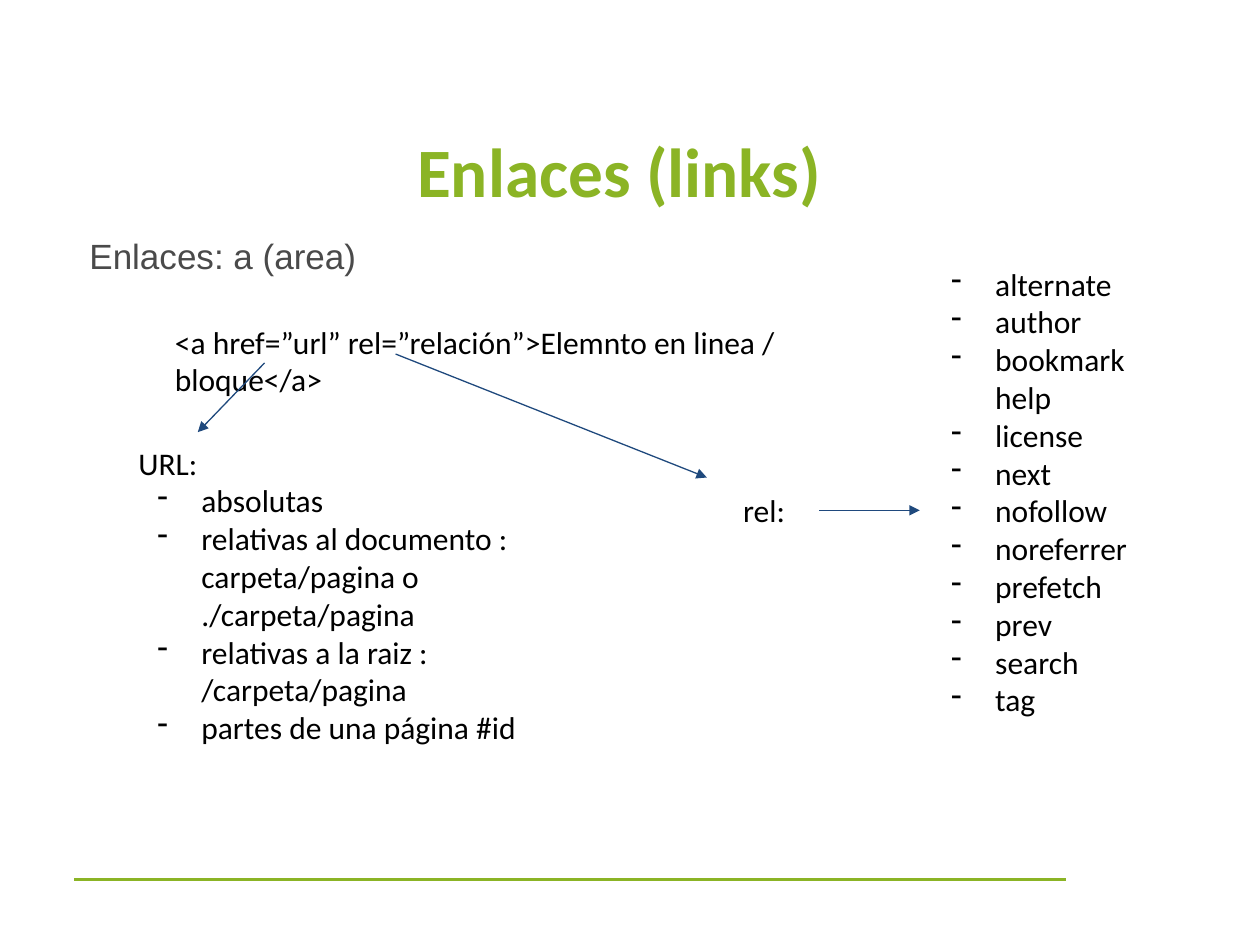
from lxml.etree import SubElement
from pptx import Presentation
from pptx.dml.color import RGBColor as RGB
from pptx.enum.shapes import MSO_CONNECTOR as Wire
from pptx.enum.text import MSO_ANCHOR as Anchor, PP_ALIGN as Align
from pptx.oxml.ns import qn
from pptx.util import Inches, Pt

COLORS = {"green": "8BB425", "gray": "4A4A4A", "black": "000000", "blue": "1F497D"}

URLS = [
    "absolutas",
    "relativas al documento : carpeta/pagina o ./carpeta/pagina",
    "relativas a la raiz : /carpeta/pagina",
    "partes de una página #id",
]
RELS = ["alternate", "author", "bookmark\vhelp", "license", "next", "nofollow",
        "noreferrer", "prefetch", "prev", "search", "tag"]


def add_text(slide, box, lines, size=18, font="Calibri", color="black",
             bold=False, pad=0.1, anchor=Anchor.TOP):
    """Place a wrapped text box holding one paragraph per line."""
    shape = slide.shapes.add_textbox(*map(Inches, box))
    frame = shape.text_frame
    frame.word_wrap = True
    frame.vertical_anchor = anchor
    frame.margin_left = frame.margin_right = Inches(pad)
    frame.margin_top = frame.margin_bottom = Inches(pad)
    frame.text = "\n".join(lines)
    for para in frame.paragraphs:
        for run in para.runs:
            run.font.size = Pt(size)
            run.font.name = font
            run.font.bold = bold
            run.font.color.rgb = RGB.from_string(COLORS[color])
    return shape


def add_dashes(paras):
    """Give each paragraph a hanging dash."""
    for para in paras:
        props = para._p.get_or_add_pPr()
        props.set("marL", str(Inches(0.5)))
        props.set("indent", str(Inches(-0.35)))
        SubElement(props, qn("a:buChar")).set("char", "-")


def add_line(slide, start, end, color, width, arrow=False):
    line = slide.shapes.add_connector(Wire.STRAIGHT, *map(Inches, start + end))
    line.line.color.rgb = RGB.from_string(COLORS[color])
    line.line.width = Pt(width)
    if arrow:
        SubElement(line.line._get_or_add_ln(), qn("a:tailEnd")).set("type", "triangle")
    SubElement(line._element.spPr, qn("a:effectLst"))
    return line


def add_header(slide, left, top, width):
    title = add_text(slide, (left, top, width, 0.59), ["Enlaces (links)"],
                     39.6, color="green", bold=True, pad=0, anchor=Anchor.MIDDLE)
    title.text_frame.paragraphs[0].alignment = Align.CENTER
    add_text(slide, (left + 0.02, top + 0.75, width, 0.59),
             ["Enlaces: a (area)"], 20, "Arial", "gray", pad=0.06)


def add_urls(slide, box):
    shape = add_text(slide, box, ["URL:"] + URLS)
    add_dashes(shape.text_frame.paragraphs[1:])


def add_rels(slide, left, top, height):
    """Place the rel label, its list of values and the arrow between them."""
    label = add_text(slide, (left, top + (height - 0.51) / 2, 0.7, 0.51),
                     ["rel:"], anchor=Anchor.MIDDLE)
    values = add_text(slide, (left + 1.5, top, 1.79, height), RELS,
                      anchor=Anchor.MIDDLE)
    values.text_frame.margin_bottom = Inches(0.4)
    add_dashes(values.text_frame.paragraphs)
    middle = top + height / 2
    arrow = add_line(slide, (left + 0.7, middle), (left + 1.5, middle),
                     "blue", 0.75, True)
    arrow.begin_connect(label, 3)
    arrow.end_connect(values, 1)


def main():
    deck = Presentation()
    deck.slide_width, deck.slide_height = Inches(10), Inches(7.5)
    slide = deck.slides.add_slide(deck.slide_layouts[6])
    add_line(slide, (0.59, 6.98), (8.46, 6.98), "green", 2.25)
    add_header(slide, 0.63, 1.05, 8.57)
    add_text(slide, (1.29, 2.46, 5.84, 0.59),
             ["<a href=”url” rel=”relación”>Elemnto en linea / bloque</a>"])
    add_urls(slide, (1, 3.42, 4.09, 1.71))
    add_rels(slide, 5.8, 2.54, 3.02)
    for start, end in [((2.1, 2.88), (1.57, 3.43)), ((3.14, 2.81), (5.61, 3.79))]:
        add_line(slide, start, end, "blue", 0.75, True)
    deck.save("out.pptx")


if __name__ == "__main__":
    main()
